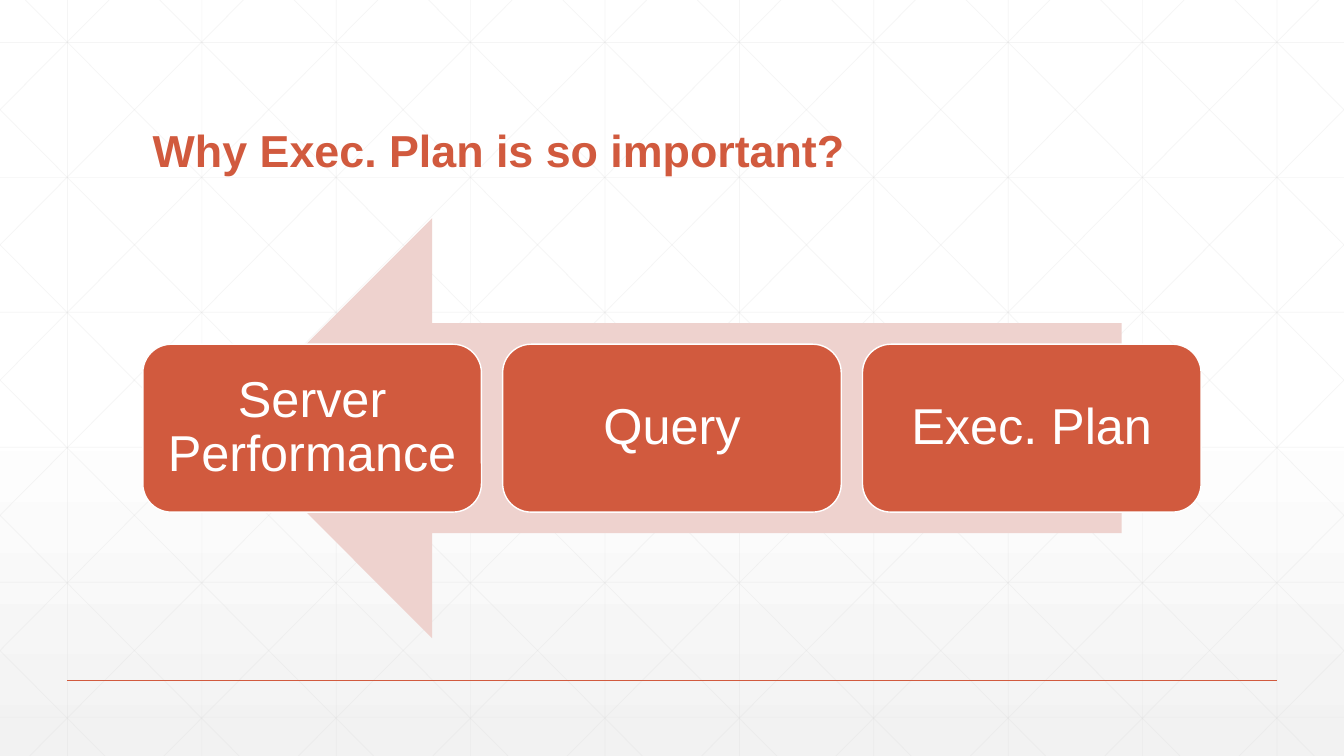
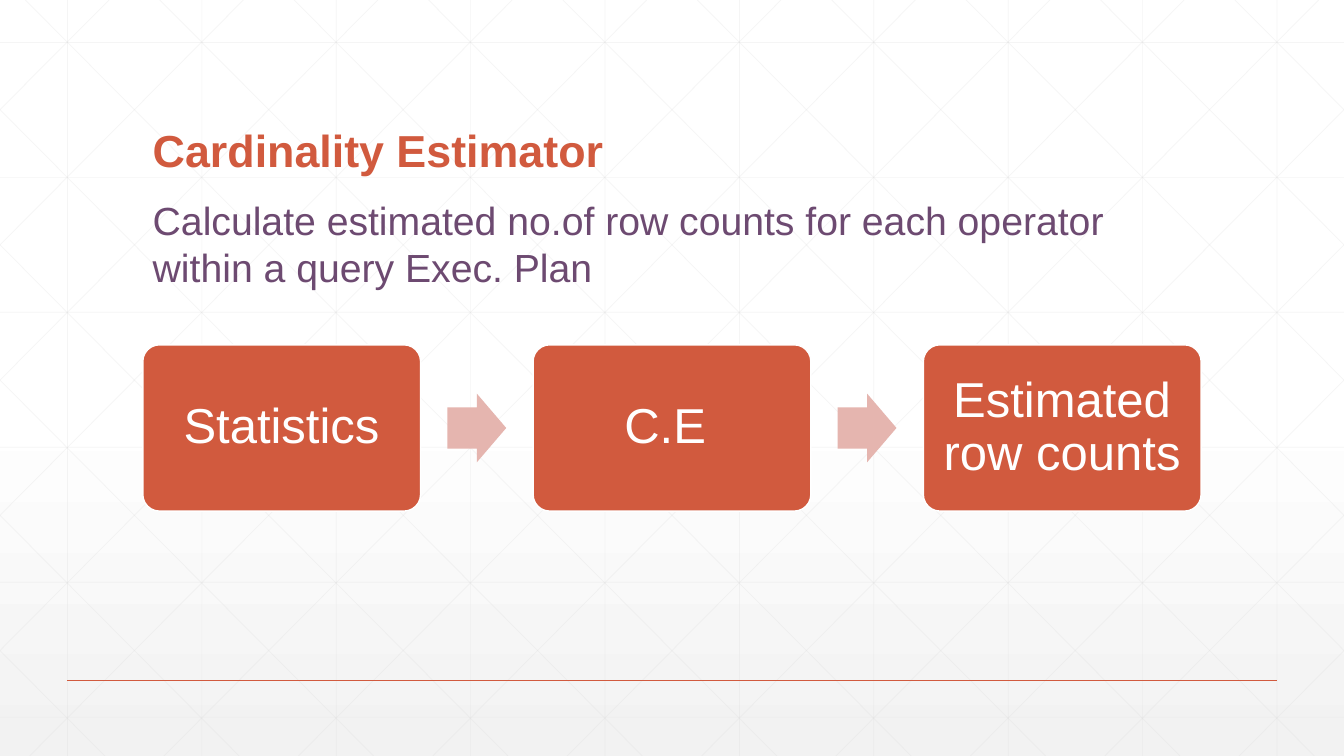
from copy import deepcopy
from dataclasses import dataclass

from lxml.etree import SubElement
from pptx import Presentation
from pptx.dml.color import RGBColor
from pptx.enum.shapes import MSO_CONNECTOR, MSO_SHAPE
from pptx.enum.text import MSO_ANCHOR, PP_ALIGN
from pptx.oxml.ns import qn
from pptx.util import Cm, Pt


@dataclass(frozen=True)
class Theme:
    font: str = "Arial"
    accent: str = "D15A3E"
    body: str = "6D4A71"
    white: str = "FFFFFF"
    backdrop_end: str = "F2F2F2"
    lattice: str = "D9D9D9"
    wide_arrow: str = "EED2CE"
    step_arrow: str = "E5B5AF"
    title_size: float = 32
    body_size: float = 28
    card_size: float = 36
    step_size: float = 35


@dataclass(frozen=True)
class Box:
    left: float
    top: float
    width: float
    height: float

    def lengths(self):
        return Cm(self.left), Cm(self.top), Cm(self.width), Cm(self.height)

    def centred(self, width, height):
        return Box(self.left + (self.width - width) / 2,
                   self.top + (self.height - height) / 2, width, height)

    def columns(self, count, width):
        gap = (self.width - count * width) / (count - 1)
        return [Box(self.left + index * (width + gap), self.top, width, self.height)
                for index in range(count)]


THEME = Theme()
PAGE = Box(0, 0, 33.87, 19.05)
MARGIN = 1.7
TITLE = Box(3.6, 1.4, 26.67, 3.18)
SUMMARY = Box(3.6, 4.83, 25.15, 2.64)
ARROW_DIAGRAM = Box(3.6, 5.5, 26.67, 10.58)
PROCESS_DIAGRAM = Box(3.6, 8.69, 26.67, 4.19)


def add_alpha(color_element, percent):
    SubElement(color_element, qn("a:alpha")).set("val", str(percent * 1000))


def add_line(shapes, start, end, color, width, alpha=None):
    line = shapes.add_connector(MSO_CONNECTOR.STRAIGHT, *map(Cm, start + end))
    line.line.color.rgb = RGBColor.from_string(color)
    line.line.width = Pt(width)
    properties = line.element.spPr
    if alpha:
        add_alpha(properties.find(".//" + qn("a:srgbClr")), alpha)
    SubElement(properties, qn("a:effectLst"))


def add_shape(page, kind, box, color, outline=None):
    shape = page.shapes.add_shape(kind, *box.lengths())
    shape.shadow.inherit = False
    shape.fill.solid()
    shape.fill.fore_color.rgb = RGBColor.from_string(color)
    if outline:
        shape.line.color.rgb = RGBColor.from_string(outline)
        shape.line.width = Pt(1)
    else:
        shape.line.fill.background()
    return shape


def write(frame, text, size, color, bold=False, spacing=0.9,
          align=PP_ALIGN.LEFT, anchor=MSO_ANCHOR.TOP):
    frame.word_wrap = True
    frame.vertical_anchor = anchor
    para = frame.paragraphs[0]
    para.alignment = align
    para.line_spacing = spacing
    span = para.add_run()
    span.text = text
    span.font.name = THEME.font
    span.font.size = Pt(size)
    span.font.bold = bold
    span.font.color.rgb = RGBColor.from_string(color)


def add_backdrop(page):
    fill = page.background.fill
    fill.gradient()
    fill.gradient_angle = 270
    first, last = fill.gradient_stops
    first.color.rgb = RGBColor.from_string(THEME.white)
    first.position = 0
    last.color.rgb = RGBColor.from_string(THEME.backdrop_end)
    last.position = 1
    first_stop, last_stop = page.element.iter(qn("a:gs"))
    middle_stop = deepcopy(first_stop)
    middle_stop.set("pos", "53000")
    first_stop.addnext(middle_stop)
    add_alpha(last_stop.find(qn("a:srgbClr")), 65)


def add_lattice(page, box):
    step = box.width / 10
    slope = 1.006
    segments = []
    for column in range(10):
        x = MARGIN + column * step
        segments.append(((x, 0), (x, box.height)))
    for row in range(6):
        y = 1.07 + row * 3.4
        segments.append(((0, y), (box.width, y)))
    for diagonal in range(-5, 10):
        x = 0.64 + diagonal * step
        top = max(0, -x * slope)
        bottom = min(box.height, (box.width - x) * slope)
        start_x, end_x = x + top / slope, x + bottom / slope
        segments.append(((start_x, top), (end_x, bottom)))
        segments.append(((box.width - start_x, top), (box.width - end_x, bottom)))
    group = page.shapes.add_group_shape()
    for start, end in segments:
        add_line(group.shapes, start, end, THEME.lattice, 0.5, alpha=25)


def add_title(page, box, text):
    frame = page.shapes.add_textbox(*box.lengths()).text_frame
    write(frame, text, THEME.title_size, THEME.accent, bold=True,
          anchor=MSO_ANCHOR.BOTTOM)


def add_summary(page, box, text):
    frame = page.shapes.add_textbox(*box.lengths()).text_frame
    write(frame, text, THEME.body_size, THEME.body, spacing=1.0)


def add_card(page, box, text, size, rounding):
    card = add_shape(page, MSO_SHAPE.ROUNDED_RECTANGLE, box, THEME.accent, THEME.white)
    card.adjustments[0] = rounding
    frame = card.text_frame
    frame.margin_left = frame.margin_right = Cm(0.38)
    frame.margin_top = frame.margin_bottom = Cm(0.38)
    write(frame, text, size, THEME.white, align=PP_ALIGN.CENTER,
          anchor=MSO_ANCHOR.MIDDLE)


def add_arrow_diagram(page, box, labels):
    add_shape(page, MSO_SHAPE.LEFT_ARROW, box.centred(box.width * 0.85, box.height),
              THEME.wide_arrow)
    band = box.centred(box.width, box.height * 0.4)
    for place, label in zip(band.columns(len(labels), box.width * 0.32), labels):
        add_card(page, place, label, THEME.card_size, 0.17)


def add_process_diagram(page, box, labels):
    places = box.columns(len(labels), 7)
    for place, label in zip(places, labels):
        add_card(page, place, label, THEME.step_size, 0.1)
    for before, after in zip(places, places[1:]):
        right = before.left + before.width
        gap = Box(right, box.top, after.left - right, box.height)
        arrow = add_shape(page, MSO_SHAPE.RIGHT_ARROW, gap.centred(1.48, 1.73),
                          THEME.step_arrow)
        arrow.adjustments[0] = 0.6


def add_page(deck, title):
    page = deck.slides.add_slide(deck.slide_layouts[6])
    add_backdrop(page)
    add_lattice(page, PAGE)
    add_line(page.shapes, (MARGIN, 17.15), (PAGE.width - MARGIN, 17.15), THEME.accent, 1)
    add_title(page, TITLE, title)
    return page


def main():
    deck = Presentation()
    deck.slide_width, deck.slide_height = Cm(PAGE.width), Cm(PAGE.height)

    importance = add_page(deck, "Why Exec. Plan is so important?")
    add_arrow_diagram(importance, ARROW_DIAGRAM,
                      ["Server Performance", "Query", "Exec. Plan"])

    estimator = add_page(deck, "Cardinality Estimator")
    add_process_diagram(estimator, PROCESS_DIAGRAM,
                        ["Statistics", "C.E ", "Estimated row counts"])
    add_summary(estimator, SUMMARY,
                "Calculate estimated no.of row counts for each operator "
                "within a query Exec. Plan")

    deck.save("out.pptx")


if __name__ == "__main__":
    main()
